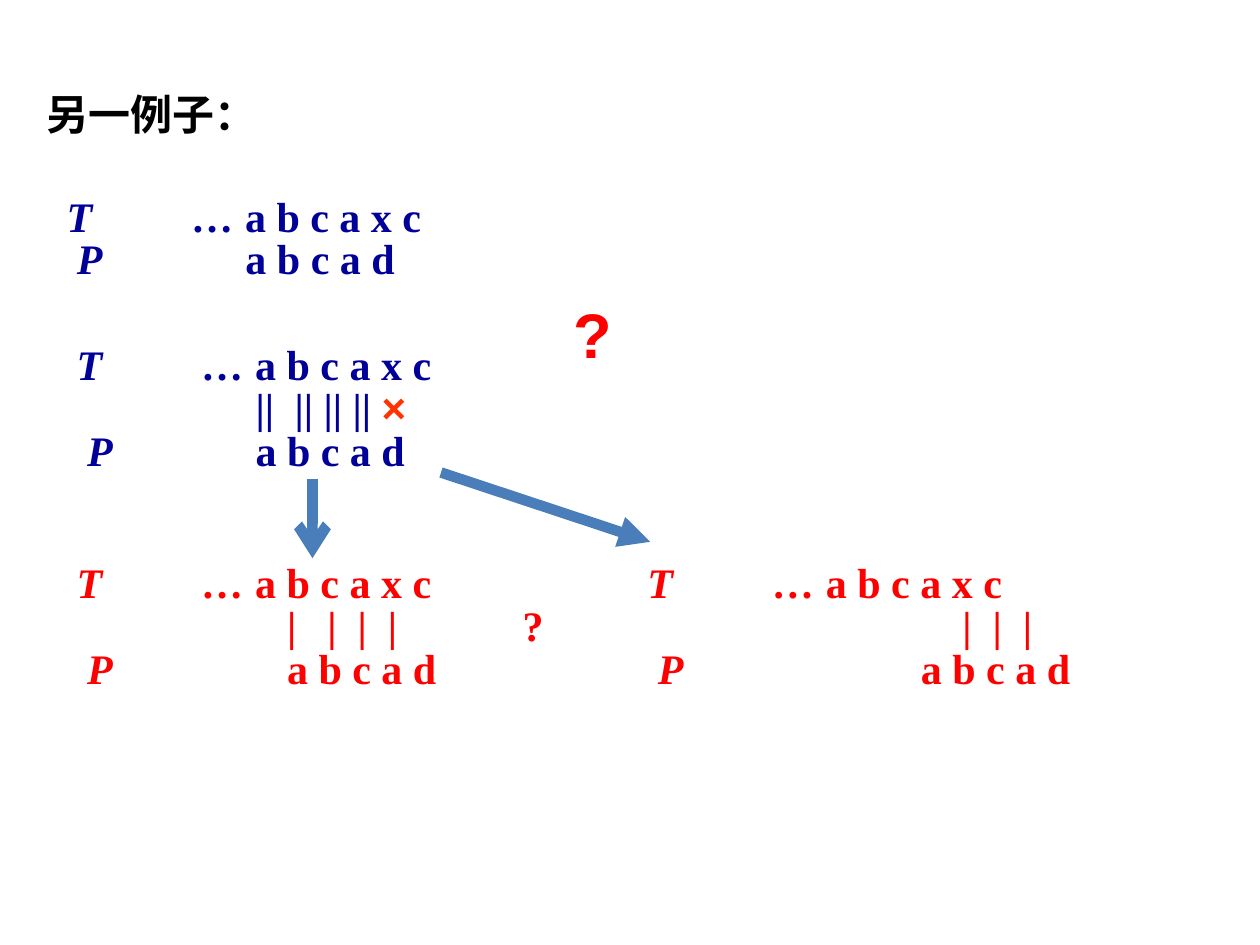
from pptx import Presentation
from pptx.dml.color import RGBColor
from pptx.enum.shapes import MSO_CONNECTOR
from pptx.enum.text import MSO_AUTO_SIZE
from pptx.oxml.ns import qn
from pptx.util import Inches, Pt
from lxml.etree import SubElement

COLORS = {"title": "000000", "first": "000099", "shifted": "FF0000",
          "mismatch": "FF3300", "arrow": "4A7EBB"}
SERIF, SANS = "Times New Roman", "Arial"

prs = Presentation()
prs.slide_width, prs.slide_height = Inches(10), Inches(7.5)
slide = prs.slides.add_slide(prs.slide_layouts[6])


def add_text(left, top, width, height, rows, line_spacing=None):
    """Each row is (tab stops in inches, runs of (text, color, font, size, italic))."""
    box = slide.shapes.add_textbox(Inches(left), Inches(top), Inches(width), Inches(height))
    frame = box.text_frame
    frame.word_wrap = True
    frame.auto_size = MSO_AUTO_SIZE.SHAPE_TO_FIT_TEXT
    for index, (stops, runs) in enumerate(rows):
        paragraph = frame.paragraphs[0] if index == 0 else frame.add_paragraph()
        if line_spacing:
            paragraph.line_spacing = line_spacing
        if stops:
            tab_list = SubElement(paragraph._p.get_or_add_pPr(), qn("a:tabLst"))
            for stop in stops:
                SubElement(tab_list, qn("a:tab"), pos=str(Inches(stop)), algn="l")
        for text, color, font, size, italic in runs:
            run = paragraph.add_run()
            run.text = text
            run.font.name, run.font.size = font, Pt(size)
            run.font.bold, run.font.italic = True, italic
            run.font.color.rgb = RGBColor.from_string(COLORS[color])


# Heading and the question
add_text(0.27, 0.65, 3.07, 0.5, [([], [("另一例子：", "title", SANS, 24, False)])])
add_text(4.45, 2.3, 4.06, 0.7, [([], [("?", "shifted", SANS, 36, False)])])

# Text T over pattern P: left, top, height, color, pattern offset,
# tab stops and marks of the comparison row, mismatch sign
alignments = [
    (0.43, 1.52, 0.78, "first", 1.42, [], "", ""),
    (0.51, 2.7, 1.12, "first", 1.42, [1.42, 1.73], "\t||\t|| || || ", "×"),
    (0.51, 4.43, 1.12, "shifted", 1.67, [1.67, 1.99, 2.23, 2.47, 3.54], "\t|\t|\t|\t|\t?", ""),
    (5.04, 4.43, 1.12, "shifted", 2.17, [2.5, 2.74, 2.98], "\t|\t|\t|", ""),
]
for left, top, height, color, offset, mark_stops, marks, mismatch in alignments:
    rows = [([1], [("T\t… ", color, SERIF, 24, True),
                   ("a b c a x c", color, SERIF, 24, False)])]
    if marks:
        mark_runs = [(marks, color, SERIF, 24, False)]
        if mismatch:
            mark_runs.append((mismatch, "mismatch", SANS, 24, False))
        rows.append((mark_stops, mark_runs))
    rows.append(([offset], [(" P\t", color, SERIF, 24, True),
                            ("a b c a d", color, SERIF, 24, False)]))
    add_text(left, top, 5, height, rows, 0.85)

# Arrows to the two possible shifts
for x1, y1, x2, y2, head in [(2.48, 3.8, 2.48, 4.43, "arrow"),
                             (3.5, 3.75, 5.16, 4.3, "triangle")]:
    arrow = slide.shapes.add_connector(MSO_CONNECTOR.STRAIGHT, Inches(x1), Inches(y1),
                                       Inches(x2), Inches(y2))
    arrow.line.color.rgb = RGBColor.from_string(COLORS["arrow"])
    arrow.line.width = Pt(6)
    SubElement(arrow.line._get_or_add_ln(), qn("a:tailEnd"), type=head)
    SubElement(arrow._element.spPr, qn("a:effectLst"))

prs.save("out.pptx")
